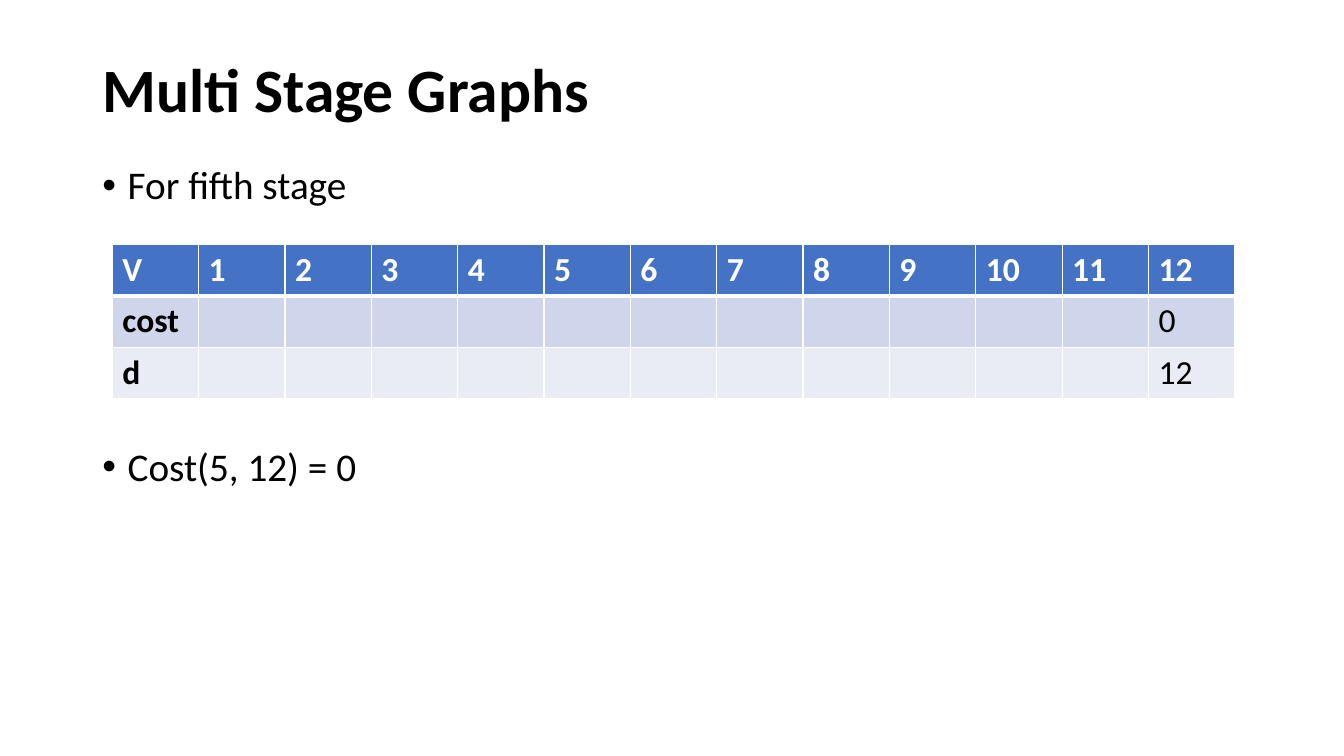
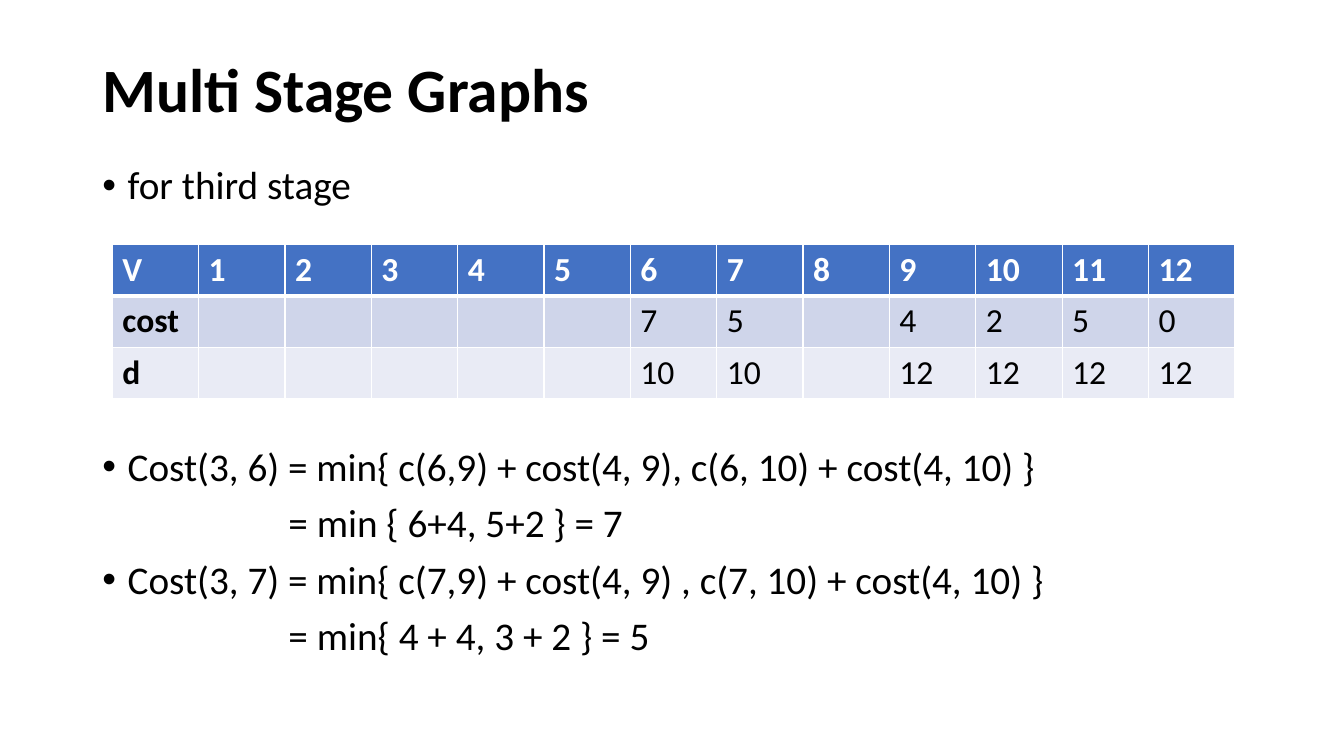
from lxml import etree
from pptx import Presentation
from pptx.dml.color import RGBColor
from pptx.enum.text import MSO_ANCHOR
from pptx.oxml.ns import qn
from pptx.util import Cm, Pt

MIDDLE, TOP = MSO_ANCHOR.MIDDLE, MSO_ANCHOR.TOP

# Content: vertex -> (cost, d); a line starting with "=" continues the one above
TITLE = "Multi Stage Graphs"
LAST = 12
SLIDES = [
    {
        "intro": "For fifth stage",
        "costs": {12: (0, 12)},
        "lines": ["Cost(5, 12) = 0"],
    },
    {
        "intro": "for third stage",
        "costs": {6: (7, 10), 7: (5, 10), 9: (4, 12),
                  10: (2, 12), 11: (5, 12), 12: (0, 12)},
        "lines": [
            "Cost(3, 6) = min{ c(6,9) + cost(4, 9), c(6, 10) + cost(4, 10) }",
            "= min { 6+4, 5+2 } = 7",
            "Cost(3, 7) = min{ c(7,9) + cost(4, 9) , c(7, 10) + cost(4, 10) }",
            "= min{ 4 + 4, 3 + 2 } = 5",
        ],
    },
]

# Shared style
FONT = "Calibri"
BLACK, WHITE = "000000", "FFFFFF"
FILLS = ["4472C4", "CFD5EA", "E9EBF5"]
LEFT, WIDTH = Cm(2.33), Cm(29.21)
GRID_LEFT, GRID_TOP, GRID_WIDTH, ROW = Cm(2.83), Cm(6.17), Cm(28.3), Cm(1.29)
HANG, DEEP = Cm(0.64), Cm(4.69)


def color(code):
    return RGBColor.from_string(code)


def style(para, size, bold=False, code=BLACK):
    font = para.font
    font.name, font.size, font.bold = FONT, Pt(size), bold
    font.color.rgb = color(code)


def indent(para, left, first, bullet):
    props = para._p.get_or_add_pPr()
    props.set("marL", str(left))
    props.set("indent", str(first))
    if bullet:
        etree.SubElement(props, qn("a:buFont")).set("typeface", "Arial")
        etree.SubElement(props, qn("a:buChar")).set("char", "•")


def add_box(slide, top, height, anchor=TOP):
    frame = slide.shapes.add_textbox(LEFT, top, WIDTH, height).text_frame
    frame.word_wrap = True
    frame.vertical_anchor = anchor
    return frame


def add_title(slide):
    para = add_box(slide, Cm(1.02), Cm(2.62), MIDDLE).paragraphs[0]
    para.text = TITLE
    para.line_spacing = 0.9
    style(para, 44, bold=True)


def add_list(slide, top, height, lines):
    frame = add_box(slide, top, height)
    for i, line in enumerate(lines):
        para = frame.add_paragraph() if i else frame.paragraphs[0]
        para.text = line
        if line.startswith("="):
            indent(para, DEEP, 0, False)
        else:
            indent(para, HANG, -HANG, True)
        para.line_spacing = 0.9
        para.space_before = Pt(10 if i else 0)
        style(para, 28)


def add_borders(cell, widths):
    props = cell._tc.get_or_add_tcPr()
    for side, width in widths.items():
        line = etree.SubElement(props, qn("a:ln" + side), w=str(Pt(width)))
        fill = etree.SubElement(line, qn("a:solidFill"))
        etree.SubElement(fill, qn("a:srgbClr"), val=WHITE)


def add_grid(slide, costs):
    heads = range(1, LAST + 1)
    pairs = [costs.get(v, ("", "")) for v in heads]
    rows = [["V", *heads],
            ["cost", *(cost for cost, _ in pairs)],
            ["d", *(d for _, d in pairs)]]
    table = slide.shapes.add_table(len(rows), LAST + 1, GRID_LEFT, GRID_TOP,
                                   GRID_WIDTH, ROW * len(rows)).table
    for col in table.columns:
        col.width = GRID_WIDTH // (LAST + 1)
    for r, row in enumerate(rows):
        table.rows[r].height = ROW
        for c, value in enumerate(row):
            cell = table.cell(r, c)
            # A thick rule parts the header from the body
            add_borders(cell, {"L": 1, "R": 1, "T": 3 if r == 1 else 1,
                               "B": 3 if r == 0 else 1})
            cell.fill.solid()
            cell.fill.fore_color.rgb = color(FILLS[r])
            para = cell.text_frame.paragraphs[0]
            para.text = str(value)
            style(para, 24, r == 0 or c == 0, BLACK if r else WHITE)


def main():
    deck = Presentation()
    deck.slide_width, deck.slide_height = Cm(33.87), Cm(19.05)
    for data in SLIDES:
        slide = deck.slides.add_slide(deck.slide_layouts[6])
        add_title(slide)
        add_list(slide, Cm(4.06), Cm(1.4), [data["intro"]])
        add_grid(slide, data["costs"])
        add_list(slide, Cm(11.15), Cm(7.5), data["lines"])
    deck.save("out.pptx")


if __name__ == "__main__":
    main()
